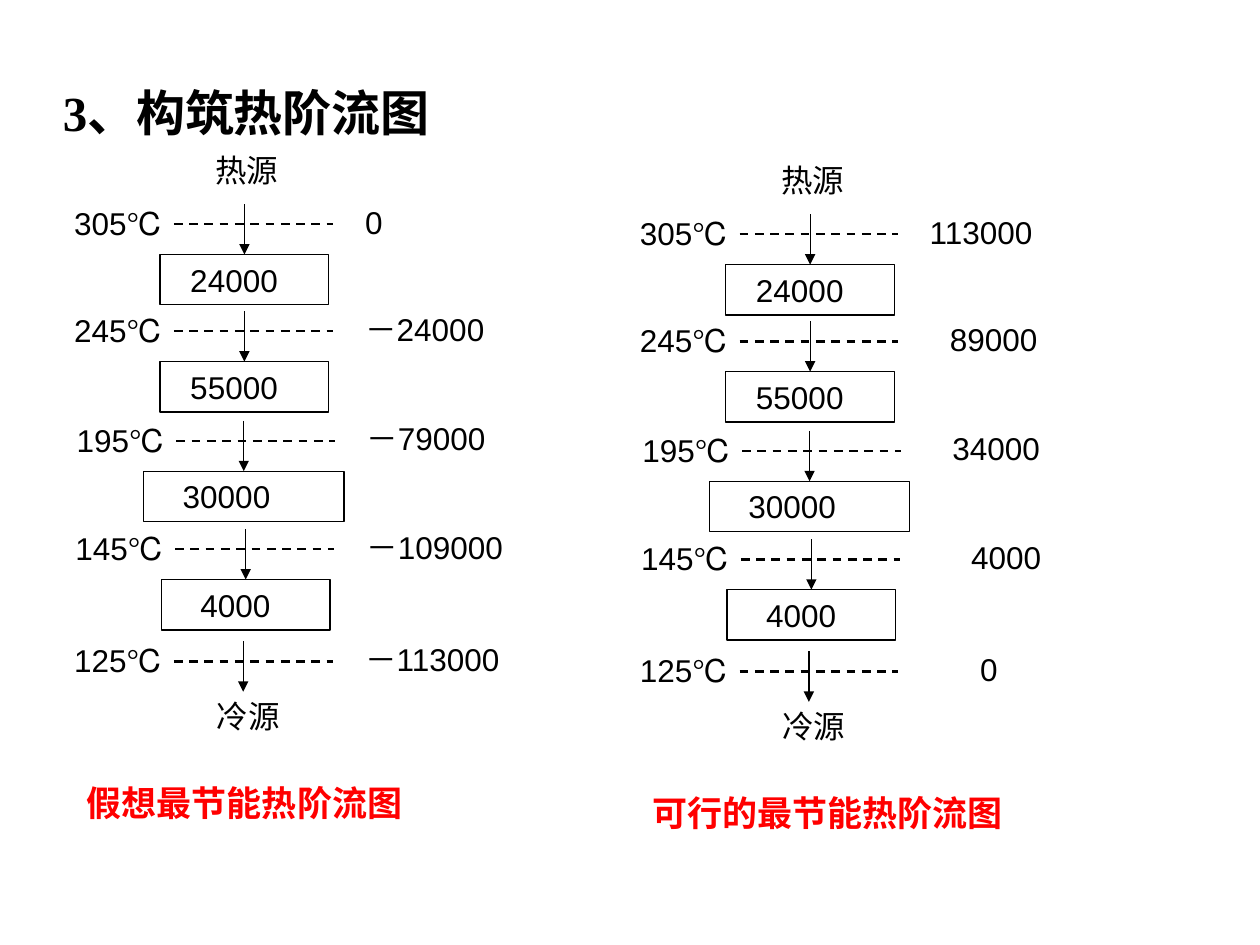
from lxml.etree import SubElement
from pptx import Presentation
from pptx.dml.color import RGBColor
from pptx.enum.dml import MSO_LINE
from pptx.enum.shapes import MSO_CONNECTOR, MSO_SHAPE
from pptx.enum.text import MSO_ANCHOR, MSO_AUTO_SIZE, PP_ALIGN
from pptx.oxml.ns import qn
from pptx.util import Inches, Pt

BLACK, RED = "000000", "FF0000"
PITCH = [0.47, 1.32, 2.19, 3.05, 3.94]
SHIFT = [0, 0, 0.02, 0.01, 0]
TEMPS = ["305℃", "245℃", "195℃", "145℃", "125℃"]
STAGES = [
    ("24000", 0.78, 1.34, 0.14),
    ("55000", 0.78, 1.34, 0.14),
    ("30000", 0.65, 1.59, 0.21),
    ("4000", 0.79, 1.34, 0.21),
]
IDEAL = [
    ("0", 2.31, 0.94),
    ("－24000", 2.31, 1.42),
    ("－79000", 2.32, 1.56),
    ("－109000", 2.32, 1.4),
    ("－113000", 2.31, 1.34),
]
REAL = [
    ("113000", 2.3, 1.34),
    ("89000", 2.46, 1.26),
    ("34000", 2.48, 1.32),
    ("4000", 2.63, 0.93),
    ("0", 2.7, 0.71),
]


def color(code):
    """Turn a hex string into a colour."""
    return RGBColor.from_string(code)


def write(shape, text, size=18, code=BLACK, bold=False, face="Arial", inset=0):
    """Put styled text in a shape, inset from its left margin."""
    frame = shape.text_frame
    frame.word_wrap = True
    frame.auto_size = MSO_AUTO_SIZE.SHAPE_TO_FIT_TEXT
    frame.vertical_anchor = MSO_ANCHOR.TOP
    frame.margin_left = Inches(0.1 + inset)
    frame.text = text
    line = frame.paragraphs[0]
    line.alignment = PP_ALIGN.LEFT
    font = line.runs[0].font
    font.name, font.size, font.bold = face, Pt(size), bold
    font.color.rgb = color(code)
    return frame


def label(slide, text, left, top, width, height=0.4, **style):
    """Add a text box."""
    box = slide.shapes.add_textbox(
        Inches(left), Inches(top), Inches(width), Inches(height))
    return write(box, text, **style)


def stage(slide, text, left, top, width, inset):
    """Add an outlined box holding a heat value."""
    box = slide.shapes.add_shape(
        MSO_SHAPE.RECTANGLE,
        Inches(left), Inches(top), Inches(width), Inches(0.4))
    box.shadow.inherit = False
    box.fill.background()
    box.line.color.rgb = color(BLACK)
    box.line.width = Pt(0.75)
    write(box, text, inset=inset)
    return box


def rule(slide, left, top, right, low, width):
    """Add a straight line without a shadow."""
    line = slide.shapes.add_connector(
        MSO_CONNECTOR.STRAIGHT,
        Inches(left), Inches(top), Inches(right), Inches(low))
    line.line.color.rgb = color(BLACK)
    line.line.width = Pt(width)
    SubElement(line._element.spPr, qn("a:effectLst"))
    return line


def arrow(slide, left, top):
    """Add a short arrow pointing down."""
    line = rule(slide, left, top, left, top + 0.4, 0.75)
    SubElement(line.line._get_or_add_ln(), qn("a:tailEnd"), type="triangle")
    return line


def level(slide, left, top, temp, value):
    """Add a temperature, its dashed line and the heat passing it."""
    text, start, width = value
    label(slide, temp, left, top - 0.05, 0.94)
    dash = rule(slide, left + 0.89, top + 0.16, left + 2.15, top + 0.16, 1.25)
    dash.line.dash_style = MSO_LINE.DASH
    label(slide, text, start, top - 0.06, width)


def cascade(slide, left, top, values, name):
    """Draw one heat cascade from source to sink with its caption."""
    label(slide, "热源", left + 1.12, top, 0.71)
    for pitch, shift, temp, value in zip(PITCH, SHIFT, TEMPS, values):
        text, start, width = value
        level(slide, left + shift, top + pitch, temp,
              (text, left + start, width))
    for pitch, (text, start, width, inset) in zip(PITCH, STAGES):
        box = stage(slide, text, left + start, top + pitch + 0.4, width, inset)
        link = arrow(slide, left + start + width / 2, top + pitch)
        link.end_connect(box, 0)
    arrow(slide, left + 1.44, top + PITCH[-1])
    label(slide, "冷源", left + 0.78, top + 4.33, 1.34, inset=0.35)
    label(slide, name, left + 0.1, top + 5, 3.04, 0.44,
          size=20, code=RED, bold=True)


def title(slide, left, top):
    """Add the slide title."""
    frame = label(slide, "3、构筑热阶流图", left, top, 3.2, 0.57,
                  size=28, bold=True, face="Times New Roman")
    frame.word_wrap = False
    frame.vertical_anchor = MSO_ANCHOR.MIDDLE


def main():
    """Build and save the slide."""
    deck = Presentation()
    deck.slide_width, deck.slide_height = Inches(10), Inches(7.5)
    slide = deck.slides.add_slide(deck.slide_layouts[6])
    title(slide, 0.4, 0.6)
    cascade(slide, 0.49, 1.15, IDEAL, "假想最节能热阶流图")
    cascade(slide, 4.98, 1.23, REAL, "可行的最节能热阶流图")
    deck.save("out.pptx")


if __name__ == "__main__":
    main()
